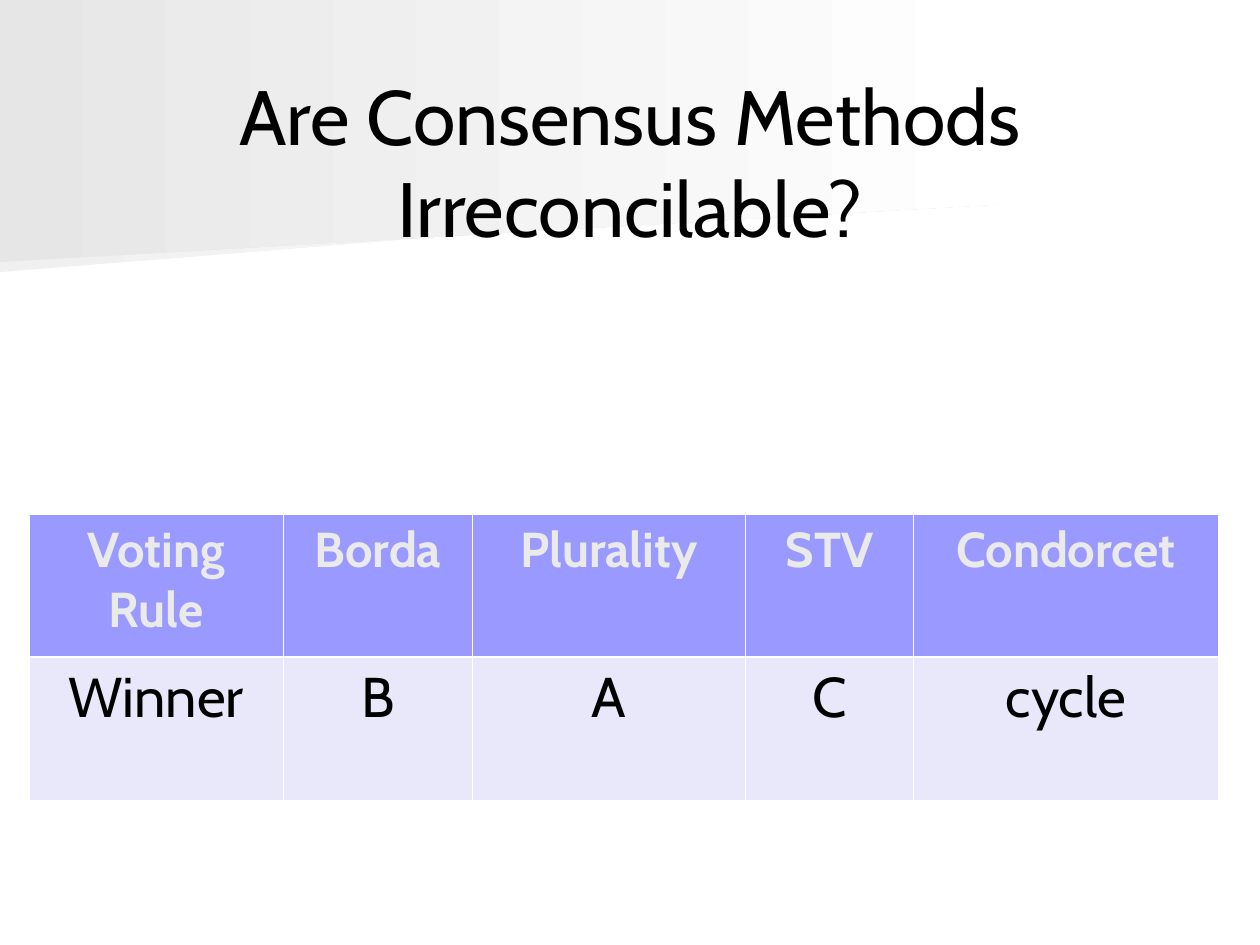
from dataclasses import dataclass

from lxml.etree import SubElement
from pptx import Presentation
from pptx.dml.color import RGBColor
from pptx.enum.text import MSO_ANCHOR, PP_ALIGN
from pptx.oxml.ns import qn
from pptx.util import Inches, Pt

COLUMNS, ROWS = 100, 75
SLIDE_WIDTH, SLIDE_HEIGHT = Inches(10), Inches(7.5)


@dataclass(frozen=True)
class Theme:
    font: str = "Cabin"
    black: str = "000000"
    white: str = "FFFFFF"
    band: str = "E6E6E6"
    band_edge: str = "F0F0F0"
    header_fill: str = "9999FF"
    header_text: str = "EAEAEA"
    body_fill: str = "E8E8FA"
    title_size: int = 44
    header_size: int = 28
    body_size: int = 32
    thin_border: float = 0.45
    thick_border: float = 1.47


@dataclass(frozen=True)
class Box:
    left: float
    top: float
    width: float
    height: float

    def point(self, across, down):
        return (
            round((self.left + across * self.width) * SLIDE_WIDTH / COLUMNS),
            round((self.top + down * self.height) * SLIDE_HEIGHT / ROWS),
        )

    def frame(self):
        left, top = self.point(0, 0)
        right, bottom = self.point(1, 1)
        return left, top, right - left, bottom - top


THEME = Theme()


def apply_format(target, values):
    for name, value in values.items():
        setattr(target, name, value)


def write_text(text_frame, text, size, color, bold=False):
    para = text_frame.paragraphs[0]
    para.alignment = PP_ALIGN.CENTER
    span = para.add_run()
    span.text = text
    apply_format(span.font, {"name": THEME.font, "size": Pt(size), "bold": bold})
    span.font.color.rgb = RGBColor.from_string(color)


def add_wedge(page, box, right_depth, color):
    outline = [box.point(*share) for share in ((1, right_depth), (0, 1), (0, 0), (1, 0))]
    builder = page.shapes.build_freeform(*outline[0])
    builder.add_line_segments(outline[1:], close=True)
    wedge = builder.convert_to_shape()
    wedge.shadow.inherit = False
    wedge.line.fill.background()
    wedge.fill.gradient()
    wedge.fill.gradient_angle = 0
    for stop, stop_color in zip(wedge.fill.gradient_stops, (color, THEME.white)):
        stop.color.rgb = RGBColor.from_string(stop_color)


def add_title(page, box, text):
    text_frame = page.shapes.add_textbox(*box.frame()).text_frame
    apply_format(text_frame, {"word_wrap": True, "vertical_anchor": MSO_ANCHOR.MIDDLE})
    write_text(text_frame, text, THEME.title_size, THEME.black)


def add_borders(cell, widths):
    properties = cell._tc.get_or_add_tcPr()
    for side, width in widths.items():
        line = SubElement(properties, qn(f"a:ln{side}"), w=str(int(Pt(width))))
        fill = SubElement(line, qn("a:solidFill"))
        SubElement(fill, qn("a:srgbClr"), val=THEME.white)


def add_results_table(page, box, column_widths, rows):
    table = page.shapes.add_table(len(rows), len(column_widths), *box.frame()).table
    table.horz_banding = False
    for column, width in zip(table.columns, column_widths):
        column.width = round(width * SLIDE_WIDTH / COLUMNS)
    styles = (
        (THEME.header_fill, THEME.header_size, THEME.header_text, True, "B"),
        (THEME.body_fill, THEME.body_size, THEME.black, False, "T"),
    )
    for row, texts, (fill, size, color, bold, thick_side) in zip(table.rows, rows, styles):
        for cell, text in zip(row.cells, texts):
            widths = dict.fromkeys("LRTB", THEME.thin_border)
            widths[thick_side] = THEME.thick_border
            add_borders(cell, widths)
            cell.fill.solid()
            cell.fill.fore_color.rgb = RGBColor.from_string(fill)
            write_text(cell.text_frame, text, size, color, bold)


def main():
    deck = Presentation()
    apply_format(deck, {"slide_width": SLIDE_WIDTH, "slide_height": SLIDE_HEIGHT})
    page = deck.slides.add_slide(deck.slide_layouts[6])
    add_wedge(page, Box(0, 10.1, 77.9, 11.5), 0.45, THEME.band_edge)
    add_wedge(page, Box(0, 0, 79.2, 20.8), 0.78, THEME.band)
    add_title(page, Box(5, 3, 90, 19.5), "Are Consensus Methods Irreconcilable?")
    add_results_table(
        page,
        Box(2.3, 40.8, 94.4, 22.7),
        (20.2, 15, 21.7, 13.3, 24.2),
        (
            ("Voting Rule", "Borda", "Plurality", "STV", "Condorcet"),
            ("Winner", "B", "A", "C", "cycle"),
        ),
    )
    deck.save("out.pptx")


if __name__ == "__main__":
    main()
